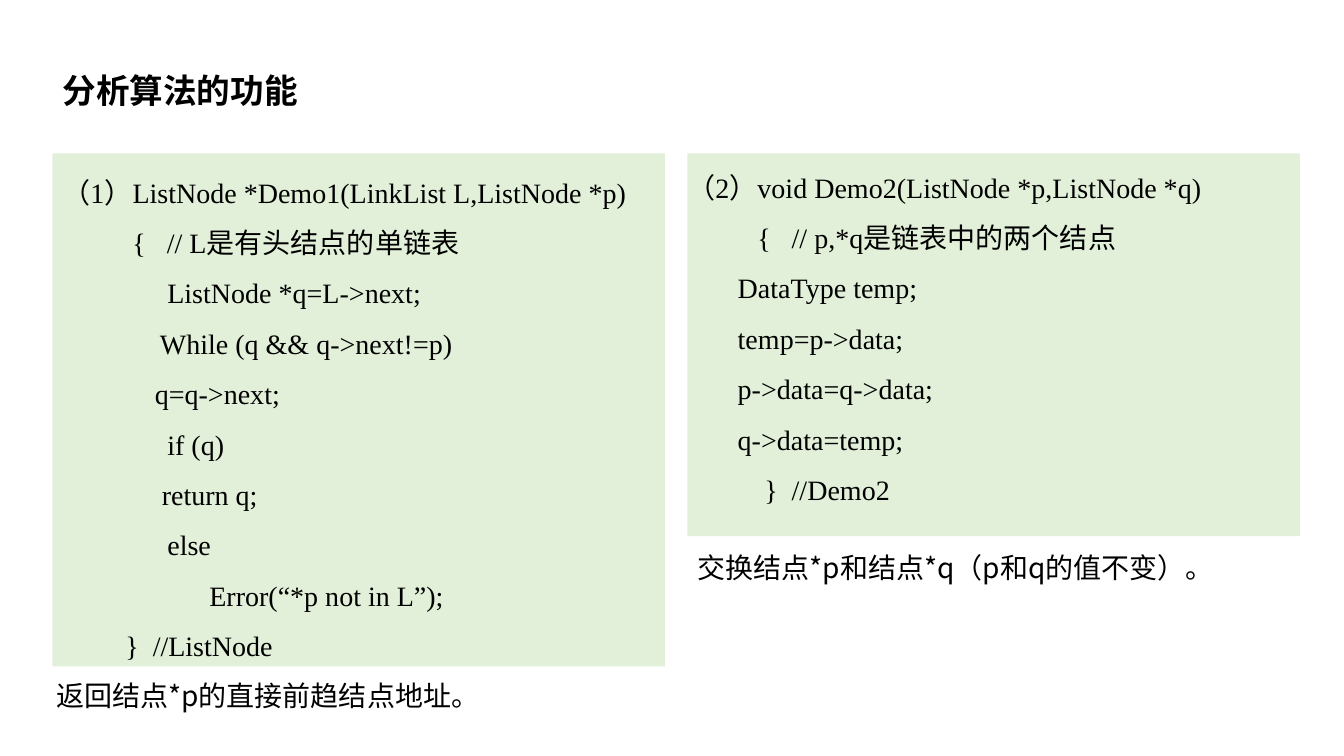
from pptx import Presentation
from pptx.dml.color import RGBColor
from pptx.enum.shapes import MSO_SHAPE
from pptx.enum.text import MSO_ANCHOR, MSO_AUTO_SIZE, PP_ALIGN
from pptx.oxml.ns import qn
from pptx.util import Pt

RECT = MSO_SHAPE.RECTANGLE
TOP, MIDDLE = MSO_ANCHOR.TOP, MSO_ANCHOR.MIDDLE
NO_FIT = MSO_AUTO_SIZE.NONE
LEFT = PP_ALIGN.LEFT

COLORS = {"panel": "E2F0D9", "text": "000000"}
SANS, SERIF = "Noto Sans CJK SC", "Times New Roman"
TITLE_ONLY = 5

DEMO1 = """（1）ListNode *Demo1(LinkList L,ListNode *p)
          {   // L是有头结点的单链表
               ListNode *q=L->next;
              While (q && q->next!=p)
\t      q=q->next;
               if (q)
\t       return q;
               else
                     Error(“*p not in L”);
         }  //ListNode"""

DEMO2 = """（2）void Demo2(ListNode *p,ListNode *q)
          {   // p,*q是链表中的两个结点
\tDataType temp;
\ttemp=p->data;
\tp->data=q->data;
\tq->data=temp;
           }  //Demo2"""


def write(tf, text, size, font, bold=False, spacing=1.0, anchor=TOP, wrap=True):
    """Fill a text frame with one paragraph per line of text."""
    tf.auto_size = NO_FIT
    tf.word_wrap = wrap
    tf.vertical_anchor = anchor
    for i, line in enumerate(text.split("\n")):
        p = tf.paragraphs[0] if i == 0 else tf.add_paragraph()
        p.add_run().text = line
        p.alignment = LEFT
        p.line_spacing = spacing
        p.font.size = Pt(size)
        p.font.bold = bold
        p.font.color.rgb = RGBColor.from_string(COLORS["text"])
        p.font.name = font
        # Chinese characters use the sans face
        props = p._p.pPr.find(qn("a:defRPr"))
        ea = props.makeelement(qn("a:ea"), {"typeface": SANS})
        props.find(qn("a:latin")).addnext(ea)


def add_title(s, box, text):
    title = s.shapes.title
    title.left, title.top, title.width, title.height = map(Pt, box)
    write(title.text_frame, text, 24, SANS, bold=True, anchor=MIDDLE, wrap=False)


def add_code_panel(s, box, code, inset=True):
    sp = s.shapes.add_shape(RECT, *map(Pt, box))
    sp.shadow.inherit = False
    sp.fill.solid()
    sp.fill.fore_color.rgb = RGBColor.from_string(COLORS["panel"])
    sp.line.fill.background()
    tf = sp.text_frame
    if not inset:
        tf.margin_left = tf.margin_top = tf.margin_right = tf.margin_bottom = 0
    write(tf, code, 20, SERIF, spacing=1.5)


def add_answer(s, box, text, wrap=True):
    sp = s.shapes.add_textbox(*map(Pt, box))
    write(sp.text_frame, text, 20, SANS, wrap=wrap)


def build_slide(prs):
    s = prs.slides.add_slide(prs.slide_layouts[TITLE_ONLY])
    left, right, top, width = 37.5, 491, 109.5, 437.5
    add_title(s, (left, 46, 185, 36), "分析算法的功能")

    # First algorithm and its answer
    add_code_panel(s, (left, top, width, 366.5), DEMO1)
    add_answer(s, (33, 481, 338, 31.5), "返回结点*p的直接前趋结点地址。", wrap=False)

    # Second algorithm and its answer
    add_code_panel(s, (right, top, width, 273.5), DEMO2, inset=False)
    add_answer(s, (right, 389.5, 399.5, 31.5), "交换结点*p和结点*q（p和q的值不变）。")


def main():
    prs = Presentation()
    prs.slide_width, prs.slide_height = Pt(960), Pt(540)
    build_slide(prs)
    prs.save("out.pptx")


if __name__ == "__main__":
    main()
